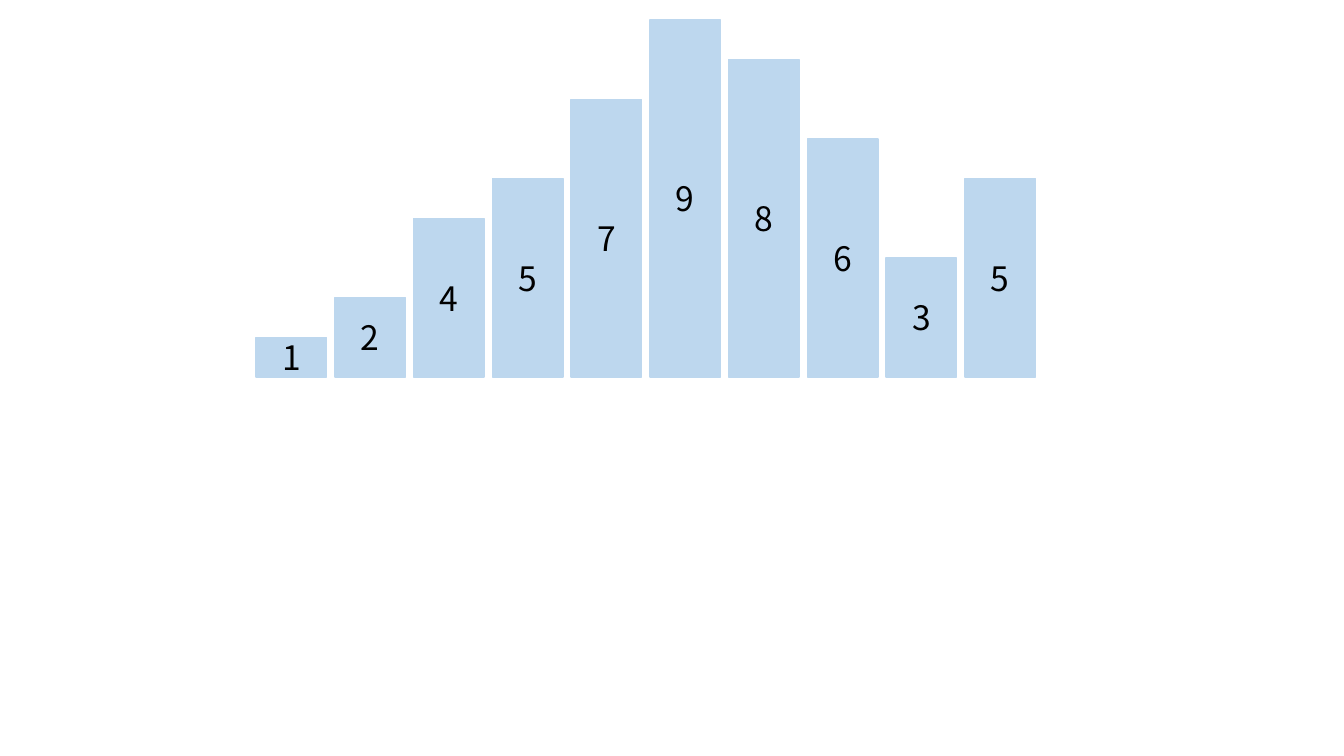
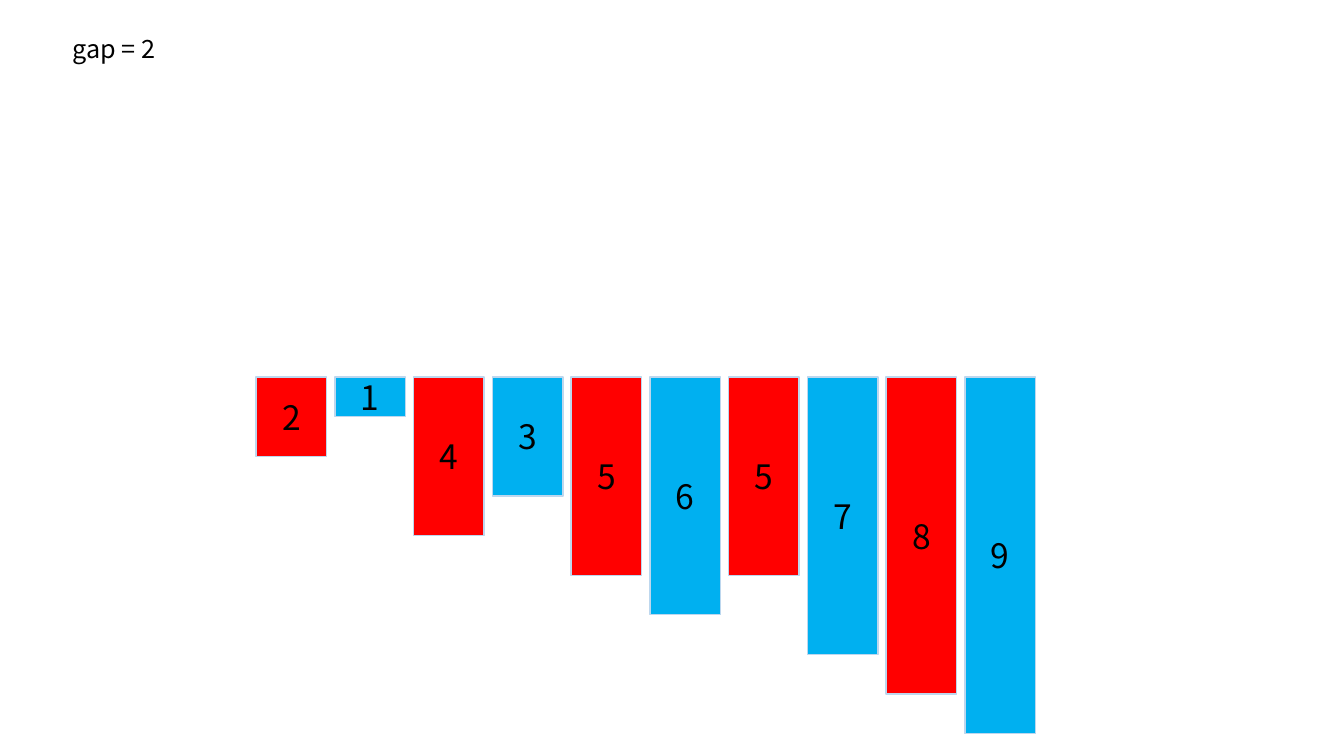
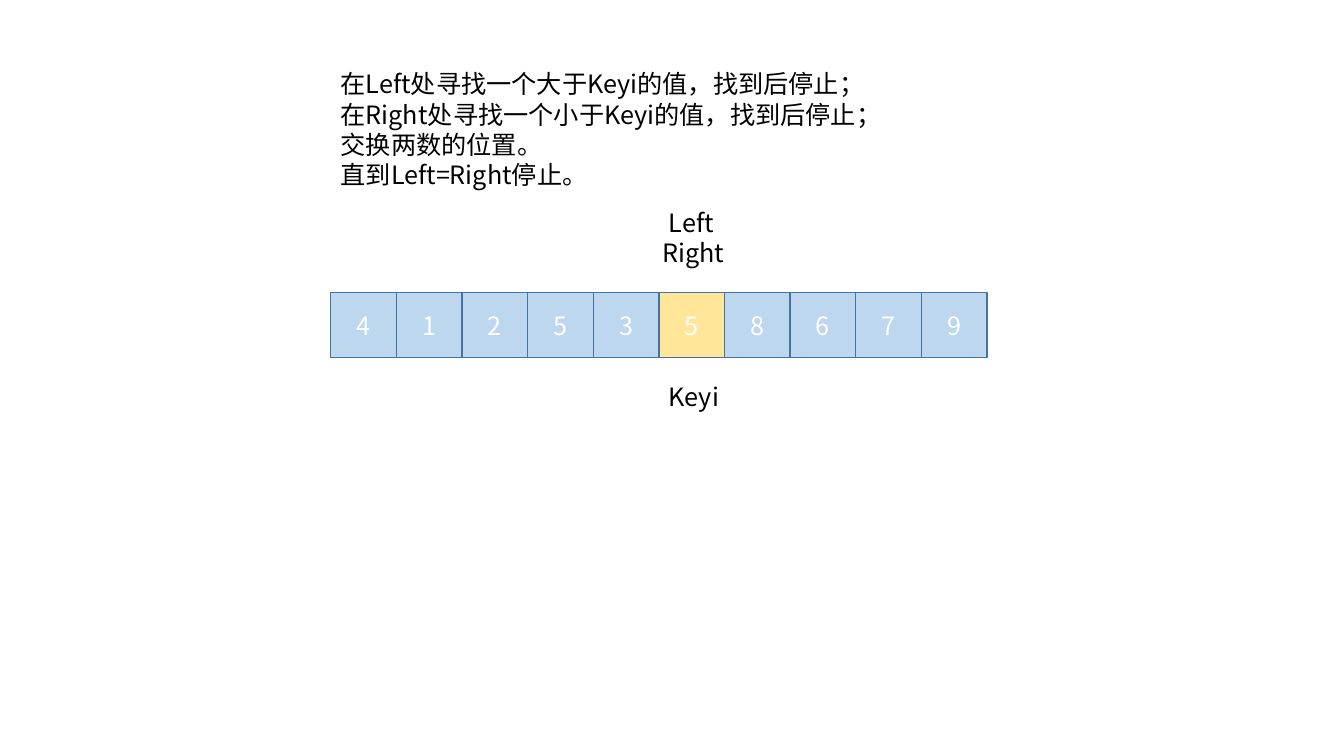
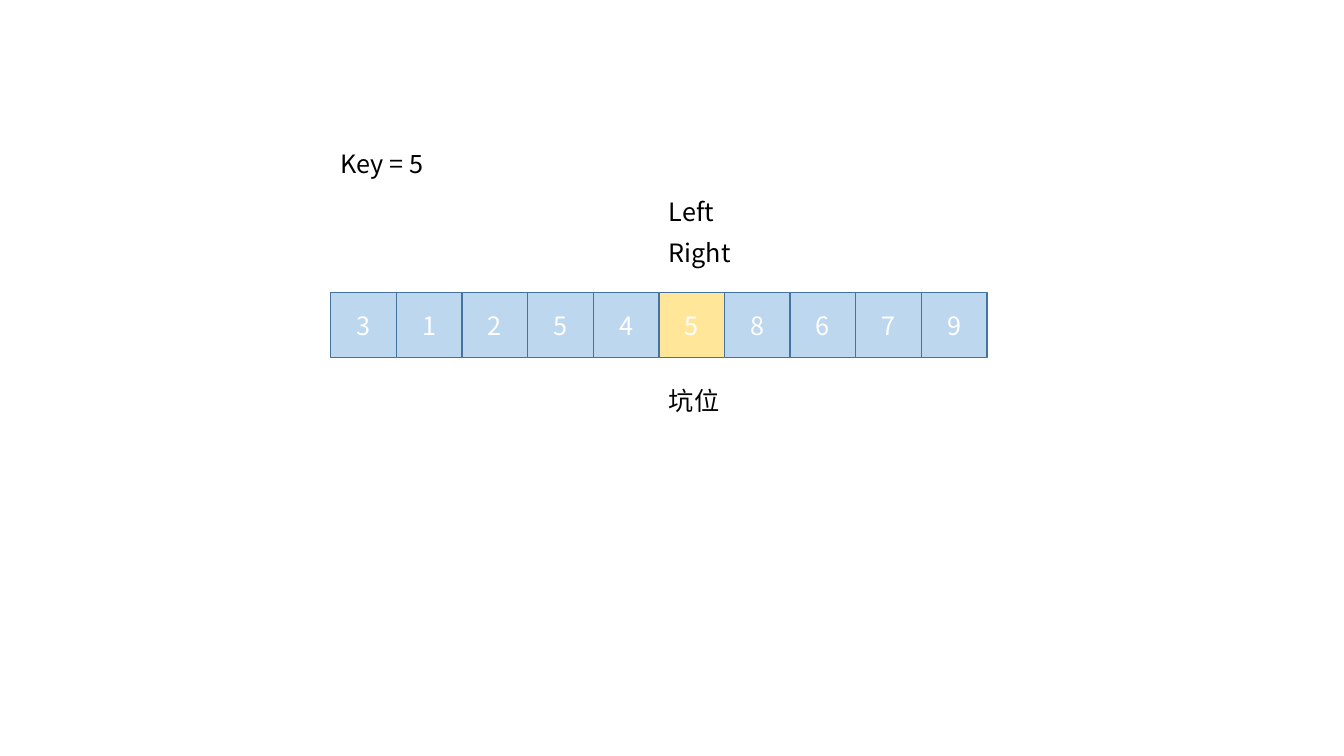
from collections import namedtuple

from lxml import etree
from pptx import Presentation
from pptx.dml.color import RGBColor
from pptx.enum.shapes import MSO_SHAPE
from pptx.enum.text import MSO_ANCHOR, MSO_AUTO_SIZE, PP_ALIGN
from pptx.oxml.ns import qn
from pptx.util import Inches, Pt

RECTANGLE = MSO_SHAPE.RECTANGLE
MIDDLE = MSO_ANCHOR.MIDDLE
GROW = MSO_AUTO_SIZE.SHAPE_TO_FIT_TEXT
CENTER = PP_ALIGN.CENTER
LEFT = PP_ALIGN.LEFT

FONT = "Noto Sans CJK SC"
COLORS = {
    "pale": "BDD7EE",
    "red": "FF0000",
    "blue": "00B0F0",
    "key": "FFE699",
    "edge": "43739E",
    "dark": "000000",
    "light": "FFFFFF",
}
TEXT_STYLES = {
    "bar": {"size": Pt(24), "color": "dark", "align": CENTER},
    "cell": {"size": Pt(18), "color": "light", "align": CENTER},
    "label": {"size": Pt(18), "color": "dark", "align": LEFT},
}
Box = namedtuple("Box", "left top width height")
CHART_BOX = Box(2.54, 0.2, 7.73, 3.54)
FLIPPED_BOX = CHART_BOX._replace(top=CHART_BOX.top + CHART_BOX.height)
ARRAY_BOX = Box(3.28, 2.9, 6.51, 0.65)
BAR_WIDTH = 0.7
TALLEST = 9
KEY_COLUMN = 5


def color(name):
    return RGBColor.from_string(COLORS[name])


def write_text(frame, lines, style):
    look = TEXT_STYLES[style]
    for index, line in enumerate(lines):
        para = frame.paragraphs[0] if index == 0 else frame.add_paragraph()
        para.alignment = look["align"]
        span = para.add_run()
        span.text = line
        for name, value in {"size": look["size"], "name": FONT}.items():
            setattr(span.font, name, value)
        span.font.color.rgb = color(look["color"])
        properties = span.font._element
        etree.SubElement(properties, qn("a:ea")).set("typeface", FONT)


def add_block(page, box, text, fill, line, style):
    block = page.shapes.add_shape(RECTANGLE, *map(Inches, box))
    block.shadow.inherit = False
    block.fill.solid()
    block.fill.fore_color.rgb = color(fill)
    block.line.color.rgb = color(line)
    block.line.width = Pt(1)
    block.text_frame.vertical_anchor = MIDDLE
    write_text(block.text_frame, [text], style)


def add_label(page, box, lines):
    label = page.shapes.add_textbox(*map(Inches, box))
    label.text_frame.word_wrap = True
    label.text_frame.auto_size = GROW
    write_text(label.text_frame, lines, "label")


def add_bars(page, box, values, fills, hanging=False):
    pitch = (box.width - BAR_WIDTH) / (len(values) - 1)
    for index, value in enumerate(values):
        height = box.height * value / TALLEST
        top = box.top if hanging else box.top + box.height - height
        bar = Box(box.left + index * pitch, top, BAR_WIDTH, height)
        add_block(page, bar, str(value), fills[index % len(fills)], "pale", "bar")


def add_array(page, box, values, labels):
    side = box.width / len(values)
    for column, value in enumerate(values):
        fill = "key" if column == KEY_COLUMN else "pale"
        cell = Box(box.left + column * side, box.top, side, box.height)
        add_block(page, cell, str(value), fill, "edge", "cell")
    for column, row, columns, rows, lines in labels:
        place = Box(box.left + column * side, box.top + row * box.height,
                    columns * side, rows * box.height)
        add_label(page, place, lines)


def main():
    deck = Presentation()
    deck.slide_width, deck.slide_height = Inches(13.33), Inches(7.5)
    blank = deck.slide_layouts[6]
    bars, gaps, pointers, pit = [deck.slides.add_slide(blank) for _ in range(4)]

    add_bars(bars, CHART_BOX, [1, 2, 4, 5, 7, 9, 8, 6, 3, 5], ["pale"])

    add_bars(gaps, FLIPPED_BOX, [2, 1, 4, 3, 5, 6, 5, 7, 8, 9],
             ["red", "blue"], hanging=True)
    add_label(gaps, Box(0.62, 0.28, 1.41, 0.71), ["gap = 2"])

    add_array(pointers, ARRAY_BOX, [4, 1, 2, 5, 3, 5, 8, 6, 7, 9], [
        (KEY_COLUMN, 1.28, 2.78, 1.09, ["Keyi"]),
        (KEY_COLUMN, -1.37, 3.44, 1.09, ["Left"]),
        (4.9, -0.91, 3.04, 1.09, ["Right"]),
        (0, -3.49, 12.87, 2.02, [
            "在Left处寻找一个大于Keyi的值，找到后停止；",
            "在Right处寻找一个小于Keyi的值，找到后停止；",
            "交换两数的位置。",
            "直到Left=Right停止。",
        ]),
    ])

    add_array(pit, ARRAY_BOX, [3, 1, 2, 5, 4, 5, 8, 6, 7, 9], [
        (0, -2.28, 2.78, 1.09, ["Key = 5"]),
        (KEY_COLUMN, -1.54, 3.44, 1.09, ["Left"]),
        (KEY_COLUMN, -0.91, 3.04, 1.09, ["Right"]),
        (KEY_COLUMN, 1.35, 5.99, 1.09, ["坑位"]),
    ])

    deck.save("out.pptx")


if __name__ == "__main__":
    main()
